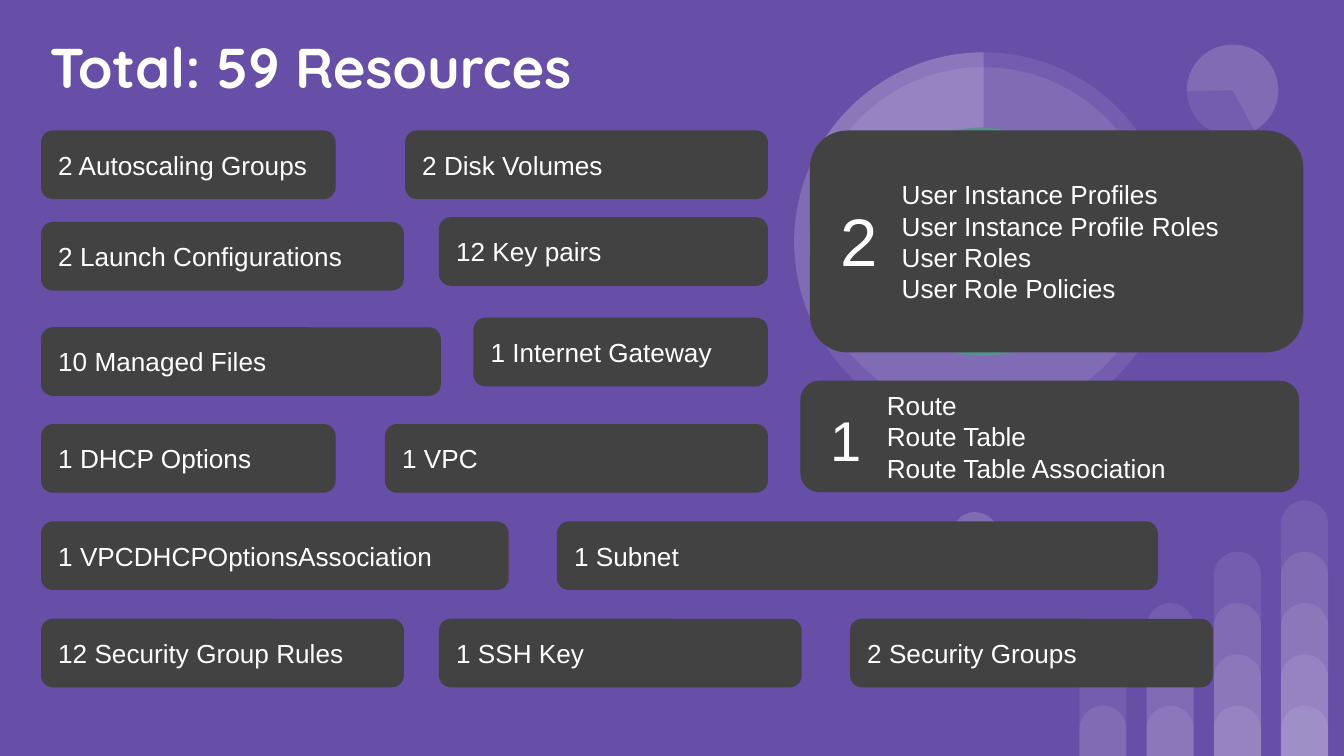
from lxml.etree import SubElement
from pptx import Presentation
from pptx.dml.color import RGBColor
from pptx.enum.shapes import MSO_SHAPE
from pptx.enum.text import MSO_ANCHOR, MSO_AUTO_SIZE, PP_ALIGN
from pptx.oxml.ns import qn
from pptx.util import Cm, Pt

COLORS = {
    "background": "674EA7",
    "card": "424242",
    "text": "FFFFFF",
    "decoration": "FFFFFF",
    "dial_center": "599191",
}
SLIDE_WIDTH, SLIDE_HEIGHT = 25.4, 14.29
INSET = 0.25
LIST_INDENT = 1.27
CARD_HEIGHT = 1.27

# Bars rising from the bottom edge
BAR_LEFT, BAR_STEP, BAR_WIDTH = 20.4, 1.27, 0.89
BAR_BASE, BAR_RISE = 0.95, 0.97
BAR_COLUMNS = 4

# Dials: left, top, size, rotation, slices as (start, end) in degrees
DIALS = [
    (17.98, 9.68, 0.89, 196.2, [(323, 270)]),
    (22.43, 0.84, 1.73, 215.9, [(323, 205.2)]),
    (15.01, 0.99, 7.16, 0, [(146.7, 270), (209.2, 270)]),
    (15.29, 1.27, 6.58, 34.1, []),
]

# Resource cards: text, left, top, width
RESOURCES = [
    ("2 Autoscaling Groups", 0.79, 2.48, 5.54),
    ("2 Disk Volumes", 7.67, 2.48, 6.83),
    ("2 Launch Configurations", 0.79, 4.21, 6.83),
    ("12 Key pairs", 8.31, 4.12, 6.19),
    ("10 Managed Files", 0.79, 6.2, 7.53),
    ("1 Internet Gateway", 8.96, 6.02, 5.54),
    ("1 DHCP Options", 0.79, 8.03, 5.54),
    ("1 VPC", 7.29, 8.03, 7.21),
    ("1 VPCDHCPOptionsAssociation", 0.79, 9.87, 8.81),
    ("1 Subnet", 10.54, 9.87, 11.33),
    ("12 Security Group Rules", 0.79, 11.71, 6.83),
    ("1 SSH Key", 8.31, 11.71, 6.83),
    ("2 Security Groups", 16.08, 11.71, 6.83),
]

# Counted lists: card box, lines, count, count size, count box
COUNTED_LISTS = [
    ((15.32, 2.48, 9.3, 4.17),
     ["User Instance Profiles", "User Instance Profile Roles",
      "User Roles", "User Role Policies"],
     "2", 36, (15.64, 3.51, 1.42, 2.64)),
    ((15.14, 7.21, 9.4, 2.08),
     ["Route", "Route Table", "Route Table Association"],
     "1", 30, (15.44, 7.42, 1.27, 1.7)),
]


def color(name):
    return RGBColor.from_string(COLORS[name])


def add_filled_shape(shapes, kind, box, fill, opacity=100):
    shape = shapes.add_shape(kind, *(Cm(value) for value in box))
    shape.shadow.inherit = False
    shape.fill.solid()
    shape.fill.fore_color.rgb = color(fill)
    shape.line.fill.background()
    if opacity < 100:
        fill_color = shape.fill._xPr.find(qn("a:solidFill"))[0]
        SubElement(fill_color, qn("a:alpha"), val=str(opacity * 1000))
    return shape


def write_text(shape, text, size, font="Arial", bold=False,
               anchor=MSO_ANCHOR.TOP, indent=0):
    frame = shape.text_frame
    frame.text = text
    frame.word_wrap = True
    frame.auto_size = MSO_AUTO_SIZE.NONE
    frame.vertical_anchor = anchor
    frame.margin_left = frame.margin_right = Cm(INSET)
    frame.margin_top = frame.margin_bottom = Cm(INSET)
    for paragraph in frame.paragraphs:
        paragraph.alignment = PP_ALIGN.LEFT
        if indent:
            properties = paragraph._p.get_or_add_pPr()
            properties.set("marL", str(Cm(indent)))
            properties.set("indent", "0")
        for run in paragraph.runs:
            run.font.name = font
            run.font.size = Pt(size)
            run.font.bold = bold
            run.font.color.rgb = color("text")


def add_bars(slide):
    for column in range(BAR_COLUMNS):
        for level in range(column + 2):
            height = BAR_BASE + level * BAR_RISE
            box = (BAR_LEFT + column * BAR_STEP, SLIDE_HEIGHT - height,
                   BAR_WIDTH, height)
            bar = add_filled_shape(slide.shapes, MSO_SHAPE.ROUND_2_SAME_RECTANGLE,
                                   box, "decoration", 9)
            bar.adjustments[0] = 0.5


def add_dial(slide, left, top, size, rotation, slices):
    box = (left, top, size, size)
    disc = add_filled_shape(slide.shapes, MSO_SHAPE.OVAL, box, "decoration", 9)
    disc.rotation = rotation
    for angles in slices:
        pie = add_filled_shape(slide.shapes, MSO_SHAPE.PIE, box, "decoration", 9)
        pie.rotation = rotation
        for index, angle in enumerate(angles):
            pie.adjustments[index] = angle * 0.6  # 60000ths of a degree / 100000


def add_card(shapes, box, text, indent=0):
    card = add_filled_shape(shapes, MSO_SHAPE.FLOWCHART_ALTERNATE_PROCESS,
                            box, "card")
    card.line.color.rgb = color("card")
    card.line.width = Pt(0.75)
    write_text(card, text, 14, anchor=MSO_ANCHOR.MIDDLE, indent=indent)


def add_counted_list(slide, box, lines, count, count_size, count_box):
    group = slide.shapes.add_group_shape()
    add_card(group.shapes, box, "\n".join(lines), LIST_INDENT)
    badge = add_filled_shape(group.shapes, MSO_SHAPE.RECTANGLE, count_box, "card")
    write_text(badge, count, count_size)


def add_title(slide, text):
    title = slide.shapes.title
    title.left, title.top = Cm(0.69), Cm(0.36)
    title.width, title.height = Cm(16.46), Cm(1.93)
    write_text(title, text, 30, font="Quicksand", bold=True)


def main():
    presentation = Presentation()
    presentation.slide_width = Cm(SLIDE_WIDTH)
    presentation.slide_height = Cm(SLIDE_HEIGHT)
    slide = presentation.slides.add_slide(presentation.slide_layouts[5])
    slide.background.fill.solid()
    slide.background.fill.fore_color.rgb = color("background")

    # Background decoration
    add_bars(slide)
    for dial in DIALS:
        add_dial(slide, *dial)
    add_filled_shape(slide.shapes, MSO_SHAPE.OVAL,
                     (16.41, 2.41, 4.32, 4.32), "dial_center")

    # Title and resource counts
    add_title(slide, "Total: 59 Resources")
    for text, left, top, width in RESOURCES:
        add_card(slide.shapes, (left, top, width, CARD_HEIGHT), text)
    for counted_list in COUNTED_LISTS:
        add_counted_list(slide, *counted_list)

    presentation.save("out.pptx")


if __name__ == "__main__":
    main()
